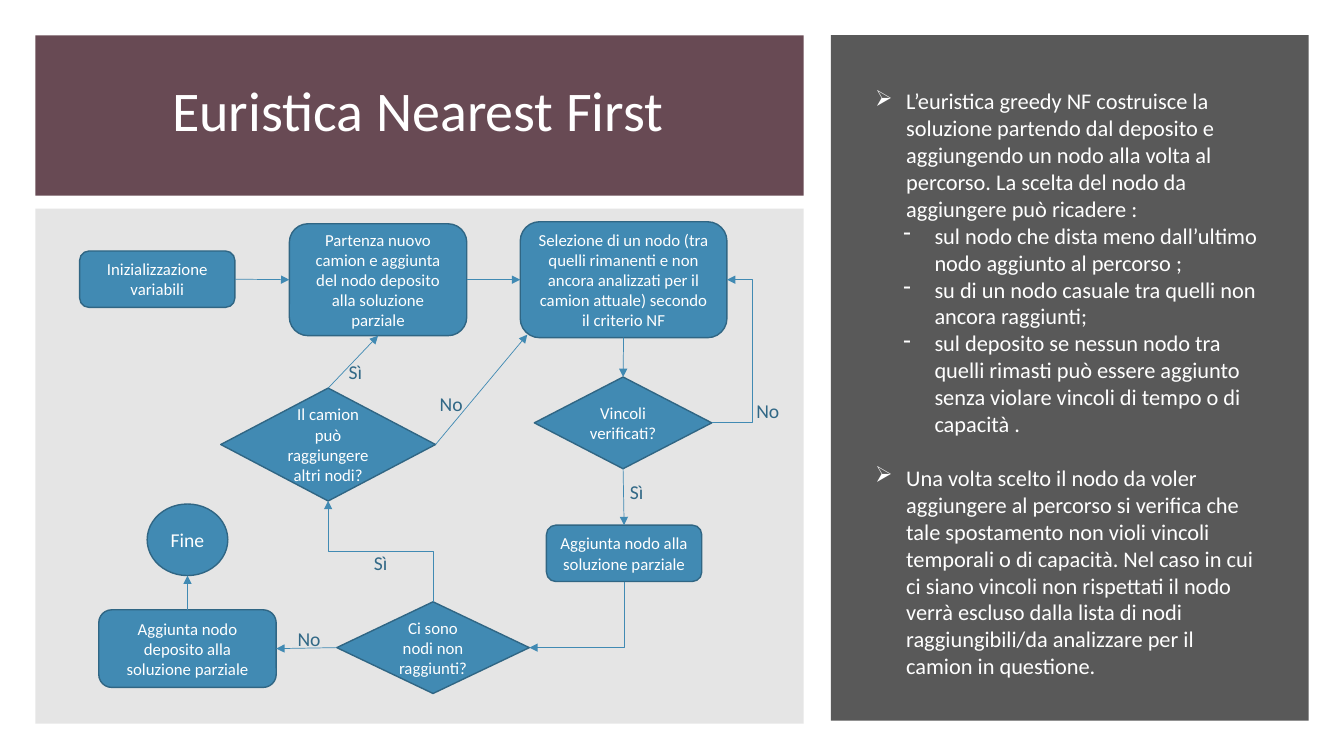
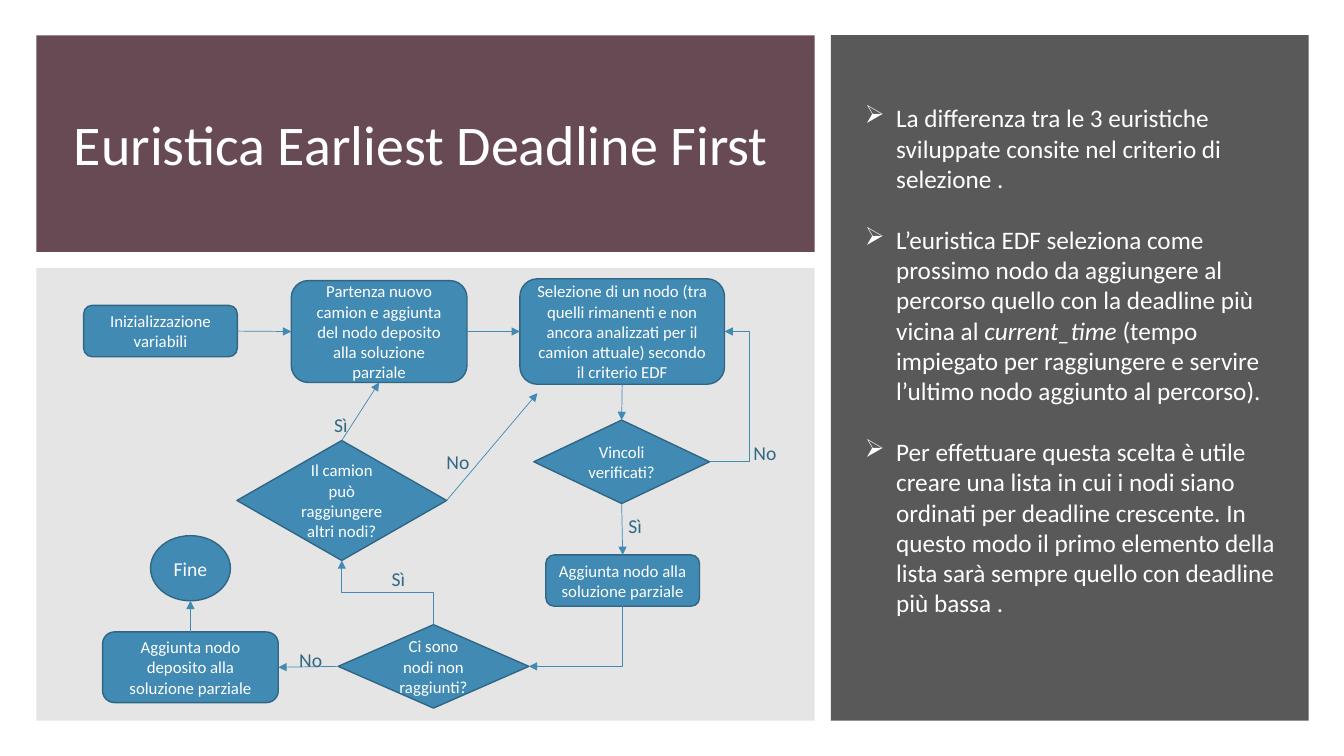
import lxml.etree
import pptx
import pptx.dml.color
import pptx.enum.shapes
import pptx.enum.text
import pptx.oxml.ns
import pptx.util

Inches = pptx.util.Inches
Pt = pptx.util.Pt
Shape = pptx.enum.shapes.MSO_SHAPE
Connector = pptx.enum.shapes.MSO_CONNECTOR
Align = pptx.enum.text.PP_ALIGN
Anchor = pptx.enum.text.MSO_ANCHOR
qn = pptx.oxml.ns.qn

TOP, LEFT, BOTTOM, RIGHT = range(4)


def color(value):
    return pptx.dml.color.RGBColor.from_string(value)


def apply(target, formats):
    for name, value in formats.items():
        setattr(target, name, value)


def add_xml(parent, tag, **attributes):
    return lxml.etree.SubElement(parent, qn(tag), attributes)


class Deck:
    FONT = "Calibri"
    WHITE, PLUM, GRAY, PANEL = "FFFFFF", "684A54", "595959", "E5E5E5"
    NODE, NODE_EDGE, LABEL = "418AB3", "306684", "316886"
    TITLE_SIZE, NODE_SIZE, LABEL_SIZE = 40, 12, 14

    def __init__(self):
        self.deck = pptx.Presentation()
        apply(self.deck, {"slide_width": Inches(13.33), "slide_height": Inches(7.5)})
        self.page = None

    def new_page(self):
        self.page = self.deck.slides.add_slide(self.deck.slide_layouts[6])

    def shape(self, kind, bounds, fill, edge=None):
        shape = self.page.shapes.add_shape(kind, *map(Inches, bounds))
        shape.shadow.inherit = False
        shape.fill.solid()
        shape.fill.fore_color.rgb = color(fill)
        if edge:
            shape.line.color.rgb = color(edge)
            shape.line.width = Pt(1)
        else:
            shape.line.fill.background()
        return shape

    def span(self, para, text, size, ink, italic=False):
        span = para.add_run()
        span.text = text
        apply(span.font, {"name": self.FONT, "size": Pt(size), "italic": italic})
        span.font.color.rgb = color(ink)

    def centered(self, box, text, size, ink, anchor=Anchor.MIDDLE, spacing=None):
        apply(box.text_frame, {"word_wrap": True, "vertical_anchor": anchor})
        para = box.text_frame.paragraphs[0]
        apply(para, {"alignment": Align.CENTER, "line_spacing": spacing})
        self.span(para, text, size, ink)

    def text_box(self, bounds):
        return self.page.shapes.add_textbox(*map(Inches, bounds))

    def title(self, text, band, bounds):
        self.shape(Shape.RECTANGLE, band, self.PLUM)
        self.centered(self.text_box(bounds), text, self.TITLE_SIZE, self.WHITE, spacing=0.9)

    def panel(self, bounds):
        self.shape(Shape.RECTANGLE, bounds, self.PANEL)

    def sidebar(self, bounds, size, items):
        """Draw the gray column; each item is (bullet, text parts), odd parts in italics."""
        self.shape(Shape.RECTANGLE, (8.24, 0.35, 4.74, 6.8), self.GRAY)
        frame = self.text_box(bounds).text_frame
        frame.word_wrap = True
        for index, (bullet, parts) in enumerate(items):
            para = frame.add_paragraph() if index else frame.paragraphs[0]
            main = bullet == "➢"
            if index and main:
                para.space_before = Pt(size * 1.22)
            props = para._p.get_or_add_pPr()
            props.set("marL", str(Inches(0.31 if main else 0.59)))
            props.set("indent", str(Inches(-0.31)))
            add_xml(props, "a:buChar", char=bullet)
            for number, part in enumerate(parts):
                self.span(para, part, size, self.WHITE, italic=number % 2 == 1)

    def node(self, kind, bounds, text, size=NODE_SIZE):
        node = self.shape(kind, bounds, self.NODE, self.NODE_EDGE)
        self.centered(node, text, size, self.WHITE)
        return node

    def label(self, text, bounds):
        self.centered(self.text_box(bounds), text, self.LABEL_SIZE, self.LABEL, Anchor.TOP)

    def arrow(self, start, start_side, end, end_side=None, kind=Connector.STRAIGHT):
        """Link a node's side to another node's side, or to a point in inches."""
        arrow = self.page.shapes.add_connector(kind, 0, 0, 0, 0)
        arrow.begin_connect(start, start_side)
        if end_side is None:
            arrow.end_x, arrow.end_y = map(Inches, end)
        else:
            arrow.end_connect(end, end_side)
        arrow.line.color.rgb = color(self.NODE)
        arrow.line.width = Pt(0.5)
        add_xml(arrow.line._get_or_add_ln(), "a:tailEnd", type="triangle")
        add_xml(arrow.element.spPr, "a:effectLst")
        return arrow

    def side_elbow(self, start, end, bend):
        """Join two right sides through a vertical line at the given x."""
        arrow = self.arrow(start, RIGHT, end, RIGHT, Connector.ELBOW)
        ratio = (Inches(bend) - arrow.begin_x) / (arrow.end_x - arrow.begin_x)
        guides = arrow.element.spPr.find(qn("a:prstGeom")).get_or_add_avLst()
        add_xml(guides, "a:gd", name="adj1", fmla=f"val {round(ratio * 100000)}")

    def upright_elbow(self, start, start_side, end, end_side, preset):
        """Join two nodes by an elbow that leaves vertically: a turned preset."""
        arrow = self.arrow(start, start_side, end, end_side, Connector.ELBOW)
        dx, dy = arrow.end_x - arrow.begin_x, arrow.end_y - arrow.begin_y
        middle_x = (arrow.begin_x + arrow.end_x) // 2
        middle_y = (arrow.begin_y + arrow.end_y) // 2
        width, height = abs(dy), abs(dx)
        apply(arrow, {"left": middle_x - width // 2, "top": middle_y - height // 2,
                      "width": width, "height": height})
        frame = arrow.element.spPr.find(qn("a:xfrm"))
        frame.set("rot", str((90 if dy > 0 else 270) * 60000))
        frame.set("flipH", "0")
        frame.set("flipV", "1" if (dx > 0) == (dy > 0) else "0")
        arrow.element.spPr.find(qn("a:prstGeom")).set("prst", preset)

    def flowchart(self, criterion, origin, scale, truck_bounds, no_end, truck_labels):
        """Draw the heuristic's flow; origin and scale place the shared grid."""
        def place(left, top, width=0, height=0):
            return (origin[0] + (left - 0.79) * scale[0], origin[1] + (top - 2.49) * scale[1],
                    width * scale[0], height * scale[1])

        box, diamond = Shape.ROUNDED_RECTANGLE, Shape.FLOWCHART_DECISION
        setup = self.node(box, place(0.79, 2.49, 1.54, 0.56), "Inizializzazione variabili")
        select = self.node(box, place(5.16, 2.2, 2.05, 1.15),
                           "Selezione di un nodo (tra quelli rimanenti e non ancora analizzati "
                           f"per il camion attuale) secondo il criterio {criterion}")
        check = self.node(diamond, place(5.3, 3.74, 1.76, 0.91), "Vincoli verificati?")
        depart = self.node(box, place(2.87, 2.22, 1.76, 1.11),
                           "Partenza nuovo camion e aggiunta del nodo deposito "
                           "alla soluzione parziale")
        add = self.node(box, place(5.42, 5.21, 1.54, 0.56),
                        "Aggiunta nodo alla soluzione parziale")
        left_over = self.node(diamond, place(3.34, 5.97, 1.91, 0.91),
                              "Ci sono nodi non raggiunti?")
        depot = self.node(box, place(0.98, 6.05, 1.76, 0.77),
                          "Aggiunta nodo deposito alla soluzione parziale")
        truck = self.node(diamond, truck_bounds, "Il camion può raggiungere altri nodi?")
        self.node(Shape.OVAL, place(1.46, 5, 0.8, 0.71), "Fine", self.LABEL_SIZE)

        for link in (
            (setup, RIGHT, depart, LEFT),
            (depart, RIGHT, select, LEFT),
            (select, BOTTOM, check, TOP),
            (check, BOTTOM, add, TOP),
            (left_over, LEFT, depot, RIGHT),
            (truck, TOP, depart, BOTTOM),
            (truck, RIGHT, no_end),
            (depot, TOP, place(1.86, 5.71)[:2]),
        ):
            self.arrow(*link)
        self.upright_elbow(add, BOTTOM, left_over, RIGHT, "bentConnector2")
        self.upright_elbow(left_over, TOP, truck, BOTTOM, "bentConnector3")
        self.side_elbow(check, select, place(7.46, 0)[0])

        label_size = place(0, 0, 0.65, 0.34)[2:]
        shared_labels = [(text, place(*spot)[:2]) for text, spot in (
            ("No", (2.74, 6.17)), ("Sì", (5.99, 4.71)), ("No", (7.29, 3.91)))]
        for text, spot in shared_labels + list(zip(("Sì", "No", "Sì"), truck_labels)):
            self.label(text, (*spot, *label_size))


def nearest_first(deck):
    deck.new_page()
    deck.panel((0.35, 2.07, 7.62, 5.11))
    deck.sidebar((8.58, 0.82, 4.01, 6.03), 16, [
        ("➢", ["L’euristica greedy NF costruisce la soluzione partendo dal deposito e "
               "aggiungendo un nodo alla volta al percorso. La scelta del nodo da "
               "aggiungere può ricadere :"]),
        ("-", ["sul nodo che dista meno dall’ultimo nodo aggiunto al percorso ;"]),
        ("-", ["su di un nodo casuale tra quelli non ancora raggiunti;"]),
        ("-", ["sul deposito se nessun nodo tra quelli rimasti può essere aggiunto "
               "senza violare vincoli di tempo o di capacità ."]),
        ("➢", ["Una volta scelto il nodo da voler aggiungere al percorso si verifica che "
               "tale spostamento non violi vincoli temporali o di capacità. Nel caso in cui "
               "ci siano vincoli non rispettati il nodo verrà escluso dalla lista di nodi "
               "raggiungibili/da analizzare per il camion in questione."]),
    ])
    deck.title("Euristica Nearest First", (0.35, 0.35, 7.62, 1.59), (0.61, 0.23, 7.07, 1.78))
    deck.flowchart("NF", origin=(0.79, 2.49), scale=(1, 1),
                   truck_bounds=(2.19, 3.85, 2.13, 1.12), no_end=(5.23, 3.32),
                   truck_labels=[(3.2, 3.52), (4.15, 3.84), (3.45, 5.42)])


def earliest_deadline_first(deck):
    deck.new_page()
    deck.title("Euristica Earliest Deadline First", (0.36, 0.35, 7.72, 2.15),
               (0.57, 0.57, 7.21, 1.78))
    deck.panel((0.36, 2.66, 7.72, 4.49))
    deck.sidebar((8.48, 0.97, 4.28, 5.25), 18, [
        ("➢", ["La differenza tra le 3 euristiche sviluppate consite nel criterio "
               "di selezione ."]),
        ("➢", ["L’euristica EDF seleziona come prossimo nodo da aggiungere al percorso "
               "quello con la deadline più vicina al ", "current_time ",
               "(tempo impiegato per raggiungere e servire l’ultimo nodo aggiunto "
               "al percorso)."]),
        ("➢", ["Per effettuare questa scelta è utile creare una lista in cui i nodi siano "
               "ordinati per deadline crescente. In questo modo il primo elemento della "
               "lista sarà sempre quello con deadline più bassa ."]),
    ])
    deck.flowchart("EDF", origin=(0.83, 3.03), scale=(0.99, 0.91),
                   truck_bounds=(2.35, 4.37, 2.08, 1.19), no_end=(5.33, 3.9),
                   truck_labels=[(3.06, 4.05), (4.22, 4.41), (3.63, 5.58)])


def main():
    deck = Deck()
    nearest_first(deck)
    earliest_deadline_first(deck)
    deck.deck.save("out.pptx")


if __name__ == "__main__":
    main()
